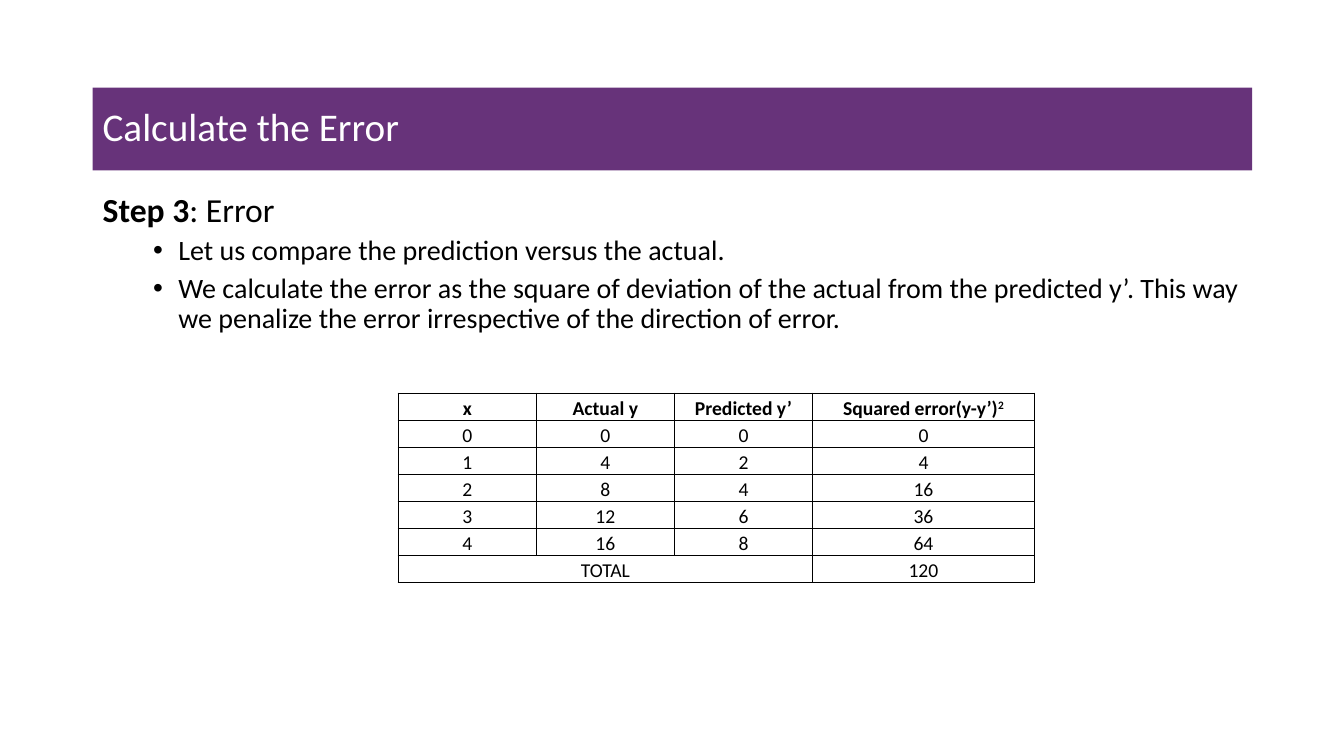
from pptx import Presentation
from pptx.dml.color import RGBColor
from pptx.enum.shapes import MSO_SHAPE
from pptx.enum.text import MSO_ANCHOR, PP_ALIGN
from pptx.oxml import parse_xml
from pptx.oxml.ns import nsdecls
from pptx.util import Inches, Pt

RECTANGLE = MSO_SHAPE.RECTANGLE
MIDDLE, TOP = MSO_ANCHOR.MIDDLE, MSO_ANCHOR.TOP
LEFT, CENTER = PP_ALIGN.LEFT, PP_ALIGN.CENTER

TITLE = "Calculate the Error"
STEP = [("Step 3", {"bold": True}), (": Error", {})]
BULLETS = [
    "Let us compare the prediction versus the actual.",
    "We calculate the error as the square of deviation of the actual from the "
    "predicted y’. This way we penalize the error irrespective of the direction of error.",
]
HEADERS = ["x", "Actual y", "Predicted y’", "Squared error(y-y’)"]
EXPONENT = "2"
SAMPLES = [(0, 0, 0, 0), (1, 4, 2, 4), (2, 8, 4, 16), (3, 12, 6, 36), (4, 16, 8, 64)]
TOTAL = ("TOTAL", "", "", 120)

THEME = {
    "font": "Calibri",
    "purple": RGBColor(0x67, 0x33, 0x7A),
    "white": RGBColor(0xFF, 0xFF, 0xFF),
    "black": RGBColor(0, 0, 0),
    "border": "000000",
    "title": Pt(28),
    "step": Pt(24),
    "bullet": Pt(20),
    "table": Pt(14),
}
MARGIN, CONTENT_WIDTH = 0.92, 11.5
TITLE_TOP, TITLE_HEIGHT = 0.87, 0.82
BODY_TOP, BODY_HEIGHT = 1.87, 2.25
TABLE_LEFT, TABLE_TOP = 3.95, 3.9
COLUMN_WIDTHS = [1.37, 1.37, 1.37, 2.2]
ROW_HEIGHT = 0.19
BULLET_INDENT, BULLET_HANG = 0.75, 0.25


def apply(target, values):
    for name, value in values.items():
        setattr(target, name, value)


def add_run(paragraph, text, size, color="black", **extra):
    run = paragraph.add_run()
    run.text = str(text)
    apply(run.font, {"name": THEME["font"], "size": THEME[size], "bold": False, **extra})
    run.font.color.rgb = THEME[color]
    return run


def add_title(slide):
    shape = slide.shapes.add_shape(
        RECTANGLE, Inches(MARGIN), Inches(TITLE_TOP), Inches(CONTENT_WIDTH), Inches(TITLE_HEIGHT))
    shape.shadow.inherit = False
    shape.fill.solid()
    shape.fill.fore_color.rgb = THEME["purple"]
    shape.line.fill.background()
    apply(shape.text_frame, {"word_wrap": True, "vertical_anchor": MIDDLE})
    paragraph = shape.text_frame.paragraphs[0]
    apply(paragraph, {"alignment": LEFT, "line_spacing": 0.9})
    add_run(paragraph, TITLE, "title", "white")


def add_bullet(paragraph):
    properties = paragraph._p.get_or_add_pPr()
    properties.set("marL", str(Inches(BULLET_INDENT)))
    properties.set("indent", str(-Inches(BULLET_HANG)))
    for tag in ('buFont %s typeface="Arial"', 'buChar %s char="•"'):
        properties.append(parse_xml("<a:" + tag % nsdecls("a") + "/>"))


def add_body(slide):
    box = slide.shapes.add_textbox(
        Inches(MARGIN), Inches(BODY_TOP), Inches(CONTENT_WIDTH), Inches(BODY_HEIGHT))
    frame = box.text_frame
    apply(frame, {"word_wrap": True, "vertical_anchor": TOP})
    step = frame.paragraphs[0]
    step.line_spacing = 0.9
    for text, values in STEP:
        add_run(step, text, "step", **values)
    for text in BULLETS:
        paragraph = frame.add_paragraph()
        add_bullet(paragraph)
        apply(paragraph, {"level": 1, "line_spacing": 0.9, "space_before": Pt(5)})
        add_run(paragraph, text, "bullet")


def add_borders(cell):
    properties = cell._tc.get_or_add_tcPr()
    for position, side in enumerate(("lnL", "lnR", "lnT", "lnB")):
        properties.insert(position, parse_xml(
            f'<a:{side} {nsdecls("a")} w="{Pt(1)}"><a:solidFill>'
            f'<a:srgbClr val="{THEME["border"]}"/></a:solidFill></a:{side}>'))


def fill_cell(cell, text, bold):
    apply(cell, {"margin_left": Inches(0.07), "margin_right": Inches(0.07),
                 "margin_top": 0, "margin_bottom": 0, "vertical_anchor": TOP})
    cell.fill.background()
    add_borders(cell)
    paragraph = cell.text_frame.paragraphs[0]
    apply(paragraph, {"alignment": CENTER, "line_spacing": 1.15, "space_after": Pt(8)})
    paragraph.font.size = THEME["table"]
    if text != "":
        add_run(paragraph, text, "table", bold=bold)
    return paragraph


def add_error_table(slide):
    rows = [HEADERS, *SAMPLES, TOTAL]
    table = slide.shapes.add_table(
        len(rows), len(HEADERS), Inches(TABLE_LEFT), Inches(TABLE_TOP),
        Inches(sum(COLUMN_WIDTHS)), Inches(ROW_HEIGHT * len(rows))).table
    apply(table, {"first_row": False, "horz_banding": False})
    for column, width in zip(table.columns, COLUMN_WIDTHS):
        column.width = Inches(width)
    for row_index, values in enumerate(rows):
        table.rows[row_index].height = Inches(ROW_HEIGHT)
        for column_index, value in enumerate(values):
            paragraph = fill_cell(table.cell(row_index, column_index), value, row_index == 0)
            if value == HEADERS[-1]:
                exponent = add_run(paragraph, EXPONENT, "table", bold=True)
                exponent._r.get_or_add_rPr().set("baseline", "30000")
    last = len(rows) - 1
    table.cell(last, 0).merge(table.cell(last, len(HEADERS) - 2))


def main():
    presentation = Presentation()
    apply(presentation, {"slide_width": Inches(13.33), "slide_height": Inches(7.5)})
    slide = presentation.slides.add_slide(presentation.slide_layouts[6])
    add_title(slide)
    add_body(slide)
    add_error_table(slide)
    presentation.save("out.pptx")


if __name__ == "__main__":
    main()
